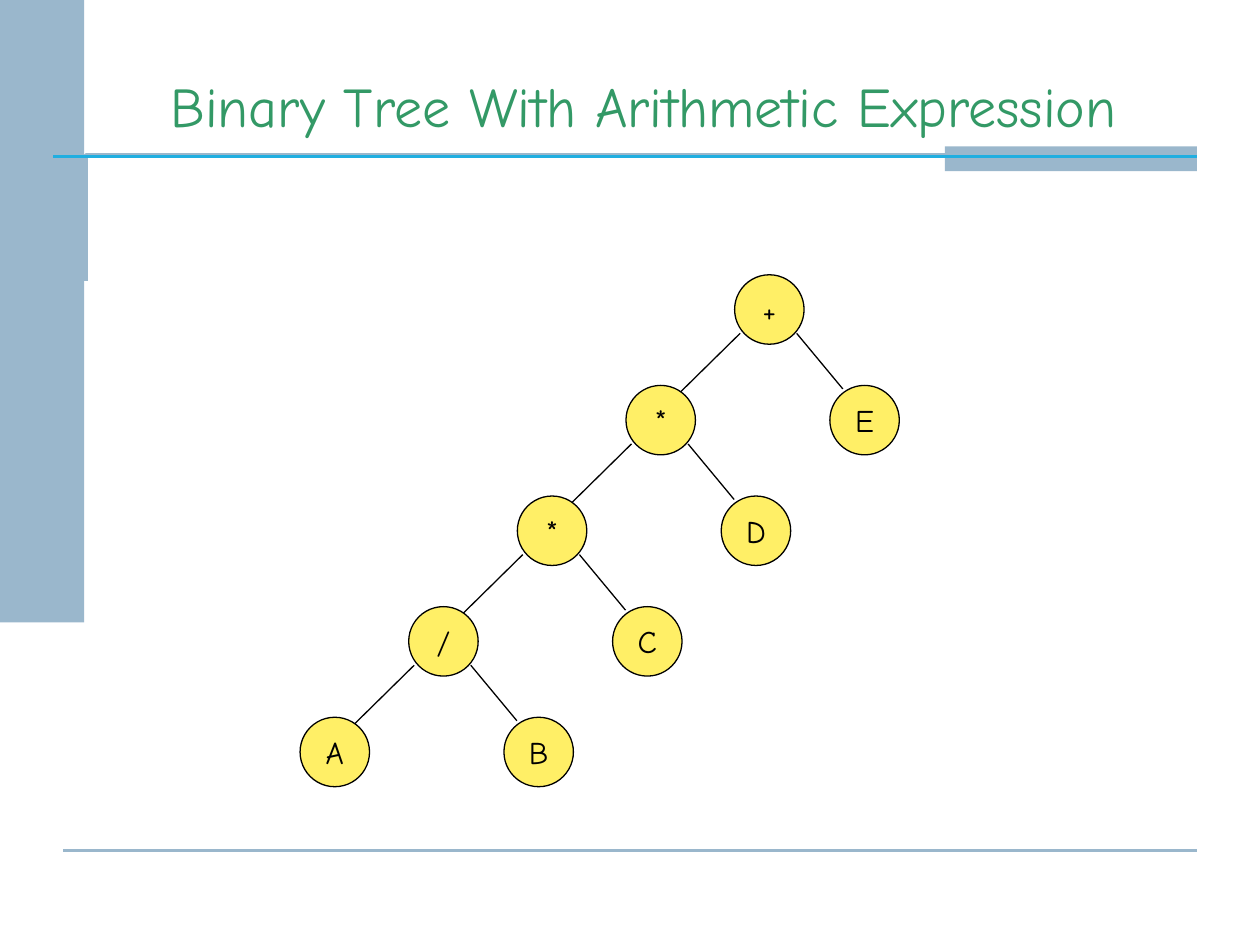
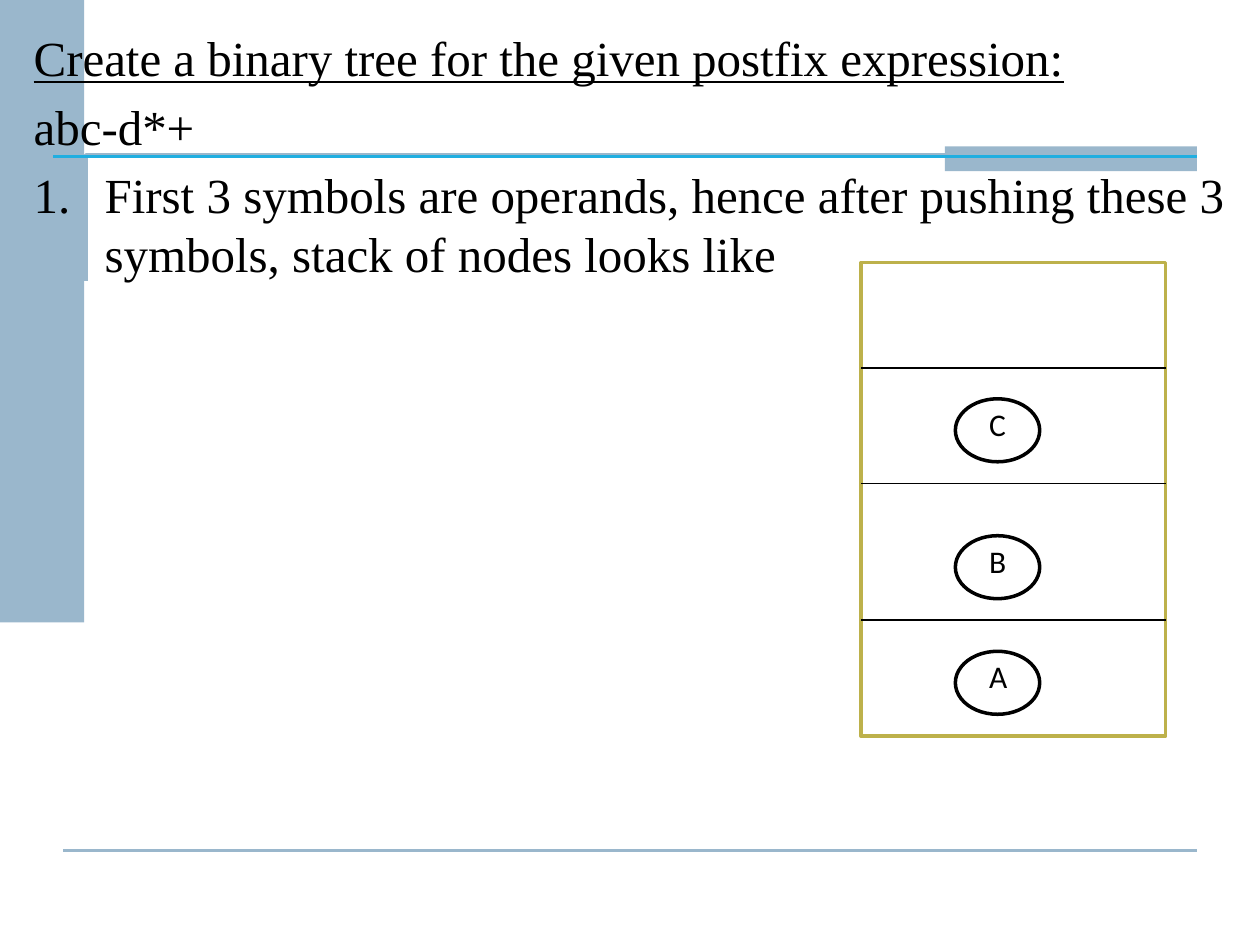
from lxml.etree import SubElement
from pptx import Presentation
from pptx.dml.color import RGBColor
from pptx.enum.shapes import MSO_CONNECTOR, MSO_SHAPE
from pptx.enum.text import MSO_ANCHOR, PP_ALIGN
from pptx.oxml.ns import qn
from pptx.util import Cm, Pt

BAND, RULE, TITLE = "9AB7CC", "20AEE0", "339966"
BLACK, WHITE, NODE, STACK = "000000", "FFFFFF", "FFEF66", "BDB14B"
color = RGBColor.from_string


def add_figure(slide, kind, left, top, width, height, fill, outline=None, weight=0.75):
    shape = slide.shapes.add_shape(kind, Cm(left), Cm(top), Cm(width), Cm(height))
    shape.shadow.inherit = False
    shape.fill.solid()
    shape.fill.fore_color.rgb = color(fill)
    if outline:
        shape.line.color.rgb = color(outline)
        shape.line.width = Pt(weight)
    else:
        shape.line.fill.background()
    return shape


def add_line(slide, x1, y1, x2, y2, stroke=BLACK, weight=0.75):
    line = slide.shapes.add_connector(MSO_CONNECTOR.STRAIGHT, Cm(x1), Cm(y1), Cm(x2), Cm(y2))
    line.line.color.rgb = color(stroke)
    line.line.width = Pt(weight)
    SubElement(line._element.spPr, qn("a:effectLst"))


presentation = Presentation()
presentation.slide_width, presentation.slide_height = Cm(25.4), Cm(19.05)
tree_slide, stack_slide = [
    presentation.slides.add_slide(presentation.slide_layouts[6]) for _ in range(2)
]

# Shared bands and rules
for slide in (tree_slide, stack_slide):
    builder = slide.shapes.build_freeform(Cm(1.73), Cm(5.66))
    builder.add_line_segments([(Cm(1.73), Cm(3.12)), (Cm(23.75), Cm(3.12))], close=False)
    corner = builder.convert_to_shape()
    corner.shadow.inherit = False
    corner.fill.background()
    corner.line.color.rgb = color(BAND)
    corner.line.width = Pt(2)
    add_line(slide, 1.27, 17.15, 24.13, 17.15, BAND, 1.5)
    add_figure(slide, MSO_SHAPE.RECTANGLE, 0, 0, 1.7, 12.55, BAND)
    add_figure(slide, MSO_SHAPE.RECTANGLE, 19.05, 2.95, 5.08, 0.5, BAND)
    add_line(slide, 1.07, 3.15, 24.13, 3.15, RULE, 1.5)

# Slide 1: expression tree
title = tree_slide.shapes.add_textbox(Cm(1.9), Cm(0.97), Cm(22.17), Cm(1.95))
title.text_frame.word_wrap = True
title.text_frame.vertical_anchor = MSO_ANCHOR.BOTTOM
paragraph = title.text_frame.paragraphs[0]
paragraph.alignment = PP_ALIGN.CENTER
run = paragraph.add_run()
run.text = "Binary Tree With Arithmetic Expression"
run.font.name, run.font.size = "Comic Neue", Pt(32)
run.font.color.rgb = color(TITLE)

ROOT_X, ROOT_Y, STEP_X, STEP_Y = 14.81, 5.54, 2.19, 2.23
SIBLING_GAP, DIAMETER = 4.11, 1.4
nodes = []
for level, (spine, leaf) in enumerate(zip("+**/A", " EDCB")):
    x, y = ROOT_X - level * STEP_X, ROOT_Y + level * STEP_Y
    nodes.append((spine, x, y))
    if level > 0:
        nodes.append((leaf, x + SIBLING_GAP, y))
    if level < 4:
        add_line(tree_slide, x + 0.11, y + 1.18, x - 1.1, y + 2.37)
        add_line(tree_slide, x + 1.25, y + 1.18, x + 2.18, y + 2.3)

for symbol, x, y in nodes:
    node = add_figure(tree_slide, MSO_SHAPE.OVAL, x, y, DIAMETER, DIAMETER, NODE, BLACK)
    node.text_frame.word_wrap = False
    node.text_frame.vertical_anchor = MSO_ANCHOR.MIDDLE
    paragraph = node.text_frame.paragraphs[0]
    paragraph.alignment = PP_ALIGN.CENTER
    run = paragraph.add_run()
    run.text = symbol
    run.font.name, run.font.size = "Comic Neue", Pt(18)
    run.font.color.rgb = color(BLACK)

# Slide 2: instructions and stack of nodes
body = stack_slide.shapes.add_textbox(Cm(0.43), Cm(0.43), Cm(24.55), Cm(17.98))
body.text_frame.word_wrap = True
instructions = [
    ("Create a binary tree for the given postfix expression:", True, False),
    ("abc-d*+", False, False),
    ("First 3 symbols are operands, hence after pushing these 3 symbols, "
     "stack of nodes looks like", False, True),
]
for index, (text, underlined, numbered) in enumerate(instructions):
    paragraph = body.text_frame.paragraphs[0] if index == 0 else body.text_frame.add_paragraph()
    if index > 0:
        paragraph.space_before = Pt(5.6)
    if numbered:
        properties = paragraph._p.get_or_add_pPr()
        properties.set("marL", str(Cm(1.43)))
        properties.set("indent", str(Cm(-1.43)))
        SubElement(properties, qn("a:buFont"), typeface="+mj-lt")
        SubElement(properties, qn("a:buAutoNum"), type="arabicPeriod")
    run = paragraph.add_run()
    run.text = text
    run.font.name, run.font.size = "Times New Roman", Pt(28)
    run.font.underline = underlined
    run.font.color.rgb = color(BLACK)

STACK_LEFT, STACK_WIDTH = 17.36, 6.14
add_figure(stack_slide, MSO_SHAPE.RECTANGLE, STACK_LEFT, 5.29, STACK_WIDTH, 9.55, WHITE, STACK, 2)
for divider_y, oval_y, symbol in [(7.42, 8.04, "C"), (9.75, 10.8, "B"), (12.5, 13.13, "A")]:
    add_line(stack_slide, STACK_LEFT, divider_y, STACK_LEFT + STACK_WIDTH, divider_y)
    add_figure(stack_slide, MSO_SHAPE.OVAL, 19.26, oval_y, 1.7, 1.27, WHITE, BLACK, 2)
    label = stack_slide.shapes.add_textbox(Cm(19.69), Cm(oval_y), Cm(1.27), Cm(1.03))
    label.text_frame.word_wrap = True
    run = label.text_frame.paragraphs[0].add_run()
    run.text = symbol
    run.font.name, run.font.size = "Calibri", Pt(18)
    run.font.color.rgb = color(BLACK)

presentation.save("out.pptx")
